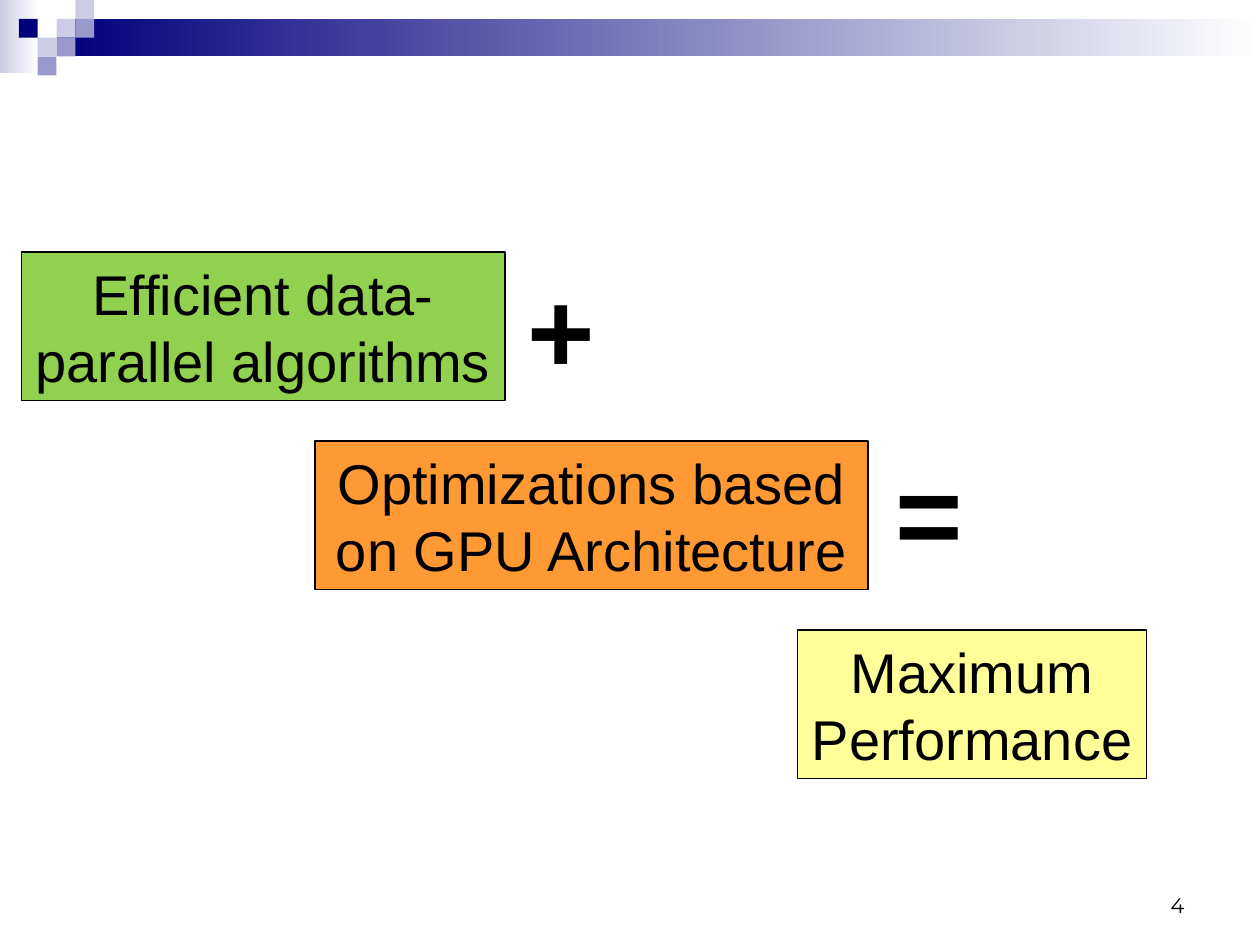
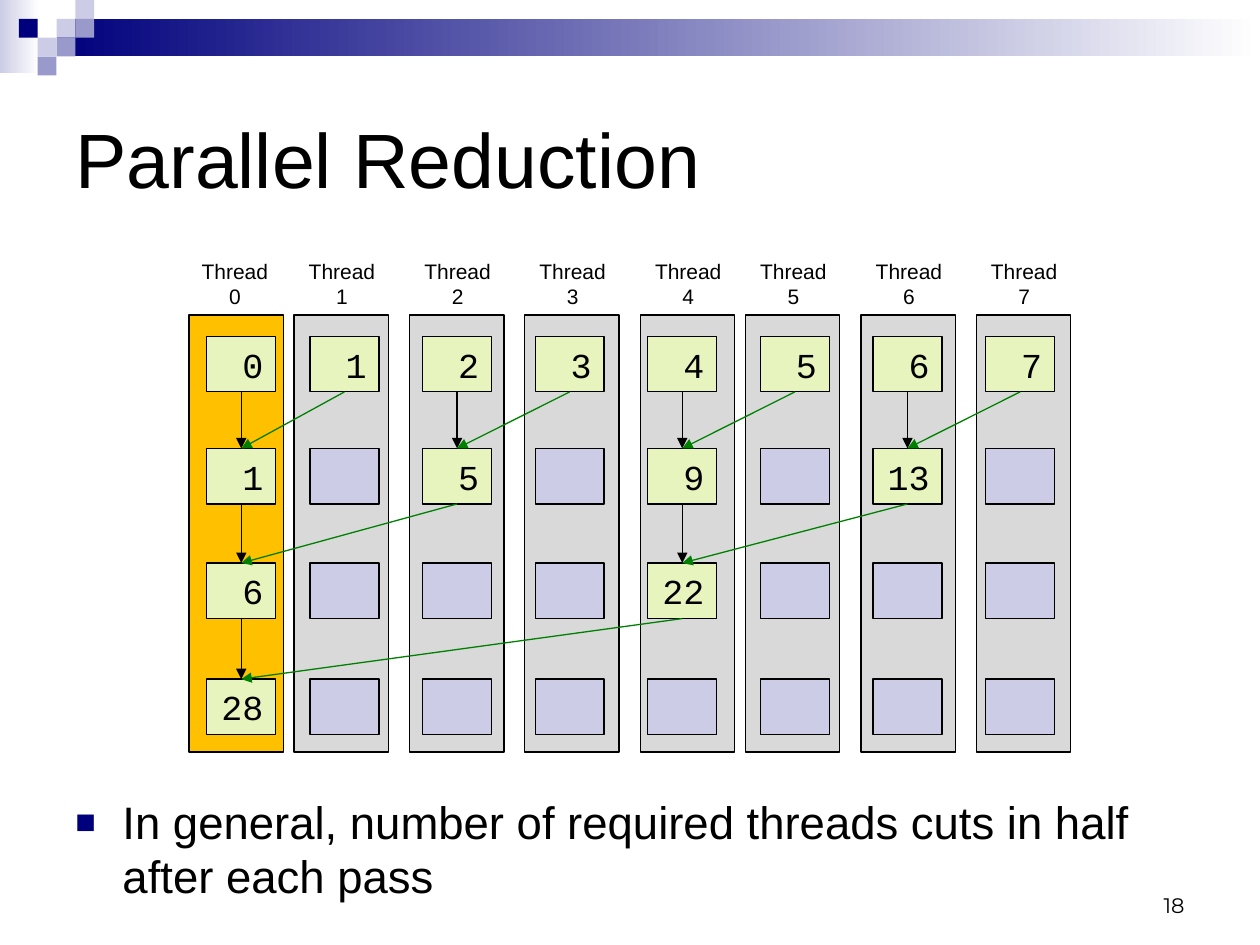
import pptx
import pptx.util
import pptx.oxml
import pptx.oxml.ns
from pptx.dml.color import RGBColor
from pptx.enum.shapes import MSO_CONNECTOR, MSO_SHAPE
from pptx.enum.text import MSO_ANCHOR, PP_ALIGN

Cm = pptx.util.Cm
Pt = pptx.util.Pt

# Colours
BLACK = RGBColor(0x00, 0x00, 0x00)
WHITE = RGBColor(0xFF, 0xFF, 0xFF)
NAVY = RGBColor(0x00, 0x00, 0x7D)
LAVENDER = RGBColor(0xCC, 0xCC, 0xE6)
PERIWINKLE = RGBColor(0x99, 0x99, 0xCC)
GREEN = RGBColor(0x92, 0xD0, 0x50)
ORANGE = RGBColor(0xFF, 0x99, 0x33)
YELLOW = RGBColor(0xFF, 0xFF, 0x99)
LANE_GREY = RGBColor(0xD9, 0xD9, 0xD9)
LANE_AMBER = RGBColor(0xFF, 0xC0, 0x00)
CELL_LIME = RGBColor(0xE7, 0xF4, 0xBE)
ARROW_GREEN = RGBColor(0x00, 0x80, 0x00)

# Header mosaic: column, row and colour of each square
SQUARE = 0.38
MOSAIC = [(3, 1, LAVENDER), (4, 0, LAVENDER), (4, 1, PERIWINKLE),
          (2, 2, LAVENDER), (1, 1, NAVY), (3, 2, PERIWINKLE),
          (2, 3, PERIWINKLE)]

# Reduction diagram, in cm
THREADS = 8
LANE_LEFT, LANE_TOP, LANE_W, LANE_H = 3.81, 6.35, 1.9, 8.81
LANE_OFFSETS = [0, 2.12, 4.45, 6.77]
HALF_STEP = 9.1
CELL_W, CELL_H, CELL_STEP = 1.39, 1.12, 2.27
ROW_TOPS = [6.78, 9.04, 11.35, 13.69]
TOP_SITE, BOTTOM_SITE = 0, 2


def write(shape, lines, size, font="Arial", align=PP_ALIGN.LEFT,
          anchor=MSO_ANCHOR.TOP, wrap=True, bold=False):
    tf = shape.text_frame
    tf.word_wrap = wrap
    tf.vertical_anchor = anchor
    for i, line in enumerate(lines):
        p = tf.add_paragraph() if i else tf.paragraphs[0]
        p.text = line
        p.alignment = align
        p.font.size = Pt(size)
        p.font.name = font
        p.font.bold = bold
        p.font.color.rgb = BLACK
    return tf


def text_box(s, x, y, w, h, lines, size, **style):
    box = s.shapes.add_textbox(Cm(x), Cm(y), Cm(w), Cm(h))
    return write(box, lines, size, **style)


def rect(s, x, y, w, h, fill, outlined=True):
    sp = s.shapes.add_shape(MSO_SHAPE.RECTANGLE, Cm(x), Cm(y), Cm(w), Cm(h))
    sp.shadow.inherit = False
    sp.fill.solid()
    sp.fill.fore_color.rgb = fill
    if outlined:
        sp.line.color.rgb = BLACK
        sp.line.width = Pt(0.75)
    else:
        sp.line.fill.background()
    return sp


def fading_rect(s, x, y, w, h, color):
    sp = rect(s, x, y, w, h, color, outlined=False)
    sp.fill.gradient()
    sp.fill.gradient_angle = 0
    for stop, rgb in zip(sp.fill.gradient_stops, (color, WHITE)):
        stop.color.rgb = rgb


def arrow(s, source, target, color):
    """Arrow from the bottom of one cell to the top of another."""
    line = s.shapes.add_connector(MSO_CONNECTOR.STRAIGHT, 0, 0, 0, 0)
    line.begin_connect(source, BOTTOM_SITE)
    line.end_connect(target, TOP_SITE)
    line.line.color.rgb = color
    line.line.width = Pt(0.75)
    ln = line.line._get_or_add_ln()
    pptx.oxml.ns.qn("a:tailEnd")
    ln.append(pptx.oxml.parse_xml(
        '<a:tailEnd %s type="triangle"/>' % pptx.oxml.ns.nsdecls("a")))
    ln.getparent().append(pptx.oxml.parse_xml(
        "<a:effectLst %s/>" % pptx.oxml.ns.nsdecls("a")))


def bullet(p):
    """Small navy square with a hanging indent."""
    p.space_before = Pt(5)
    pPr = p._p.get_or_add_pPr()
    pPr.set("marL", str(Cm(0.95)))
    pPr.set("indent", str(-Cm(0.95)))
    for xml in ('<a:buClr %s><a:srgbClr val="' + str(NAVY) + '"/></a:buClr>',
                '<a:buSzPct %s val="75000"/>',
                '<a:buFont %s typeface="Arial"/>',
                '<a:buChar %s char="\u25a0"/>'):
        mark = pptx.oxml.parse_xml(xml % pptx.oxml.ns.nsdecls("a"))
        pPr.insert_element_before(mark, "a:defRPr")


def new_slide(prs, number):
    """Blank slide with the header band and the slide number."""
    s = prs.slides.add_slide(prs.slide_layouts[6])
    fading_rect(s, 0, 0, 0.79, 1.47, LAVENDER)
    fading_rect(s, 1.14, SQUARE, 24.26, 2 * SQUARE, NAVY)
    for col, row, color in MOSAIC:
        rect(s, col * SQUARE, row * SQUARE, SQUARE, SQUARE, color,
             outlined=False)
    text_box(s, 18.21, 17.35, 5.92, 1.27, [str(number)], 12,
             font="Montserrat", align=PP_ALIGN.RIGHT,
             anchor=MSO_ANCHOR.BOTTOM)
    return s


def performance_slide(prs):
    s = new_slide(prs, 4)
    # Staircase of boxes
    steps = [
        (0.43, 9.75, GREEN, ["Efficient data-", "parallel algorithms"]),
        (6.35, 11.15, ORANGE, ["Optimizations based", "on GPU Architecture"]),
        (16.08, 7.04, YELLOW, ["Maximum", "Performance"]),
    ]
    for i, (x, w, fill, lines) in enumerate(steps):
        box = rect(s, x, 5.08 + 3.81 * i, w, 3, fill)
        write(box, lines, 32, align=PP_ALIGN.CENTER,
              anchor=MSO_ANCHOR.MIDDLE, wrap=False)
    # Operators between them
    for sign, x, y in (("+", 10.39, 5.08), ("=", 17.81, 8.76)):
        text_box(s, x, y, 1.88, 3.07, [sign], 66, wrap=False, bold=True)


def draw_lane(s, thread):
    half, place = divmod(thread, len(LANE_OFFSETS))
    x = LANE_LEFT + half * HALF_STEP + LANE_OFFSETS[place]
    rect(s, x, LANE_TOP, LANE_W, LANE_H, LANE_GREY if thread else LANE_AMBER)
    label_x = x + 0.04 if thread else x
    text_box(s, label_x, 5.08, 1.85, 1.3, ["Thread", str(thread)], 12,
             align=PP_ALIGN.CENTER, wrap=False)


def draw_cell(s, thread, y, value):
    x = 6.25 + CELL_STEP * (thread - 1) if thread else 4.17
    if value is None:
        return rect(s, x, y, CELL_W, CELL_H, LAVENDER)
    cell = rect(s, x, y, CELL_W, CELL_H, CELL_LIME)
    tf = write(cell, [str(value)], 20, font="Courier New",
               align=PP_ALIGN.RIGHT, anchor=MSO_ANCHOR.MIDDLE)
    tf.margin_left = Cm(0.1)
    return cell


def draw_reduction(s):
    for thread in range(THREADS):
        draw_lane(s, thread)
    # Each pass adds pairs, so the stride between live cells doubles
    values = list(range(THREADS))
    rows = []
    for level, y in enumerate(ROW_TOPS):
        stride = 2 ** level
        if level:
            values = [values[t] + values[t + stride // 2]
                      if t % stride == 0 else None for t in range(THREADS)]
        rows.append([draw_cell(s, t, y, v) for t, v in enumerate(values)])
    # Arrows into each sum
    for level in range(1, len(rows)):
        stride = 2 ** level
        above, below = rows[level - 1], rows[level]
        for t in range(0, THREADS, stride):
            arrow(s, above[t], below[t], BLACK)
            arrow(s, above[t + stride // 2], below[t], ARROW_GREEN)


def reduction_slide(prs):
    s = new_slide(prs, 18)
    text_box(s, 1.27, 1.27, 22.86, 3.81, ["Parallel Reduction"], 44,
             anchor=MSO_ANCHOR.MIDDLE)
    draw_reduction(s)
    tf = text_box(s, 1.27, 15.88, 22.86, 2.34,
                  ["In general, number of required threads cuts in half "
                   "after each pass"], 26)
    bullet(tf.paragraphs[0])


def main():
    prs = pptx.Presentation()
    prs.slide_width, prs.slide_height = Cm(25.4), Cm(19.05)
    performance_slide(prs)
    reduction_slide(prs)
    prs.save("out.pptx")


main()
